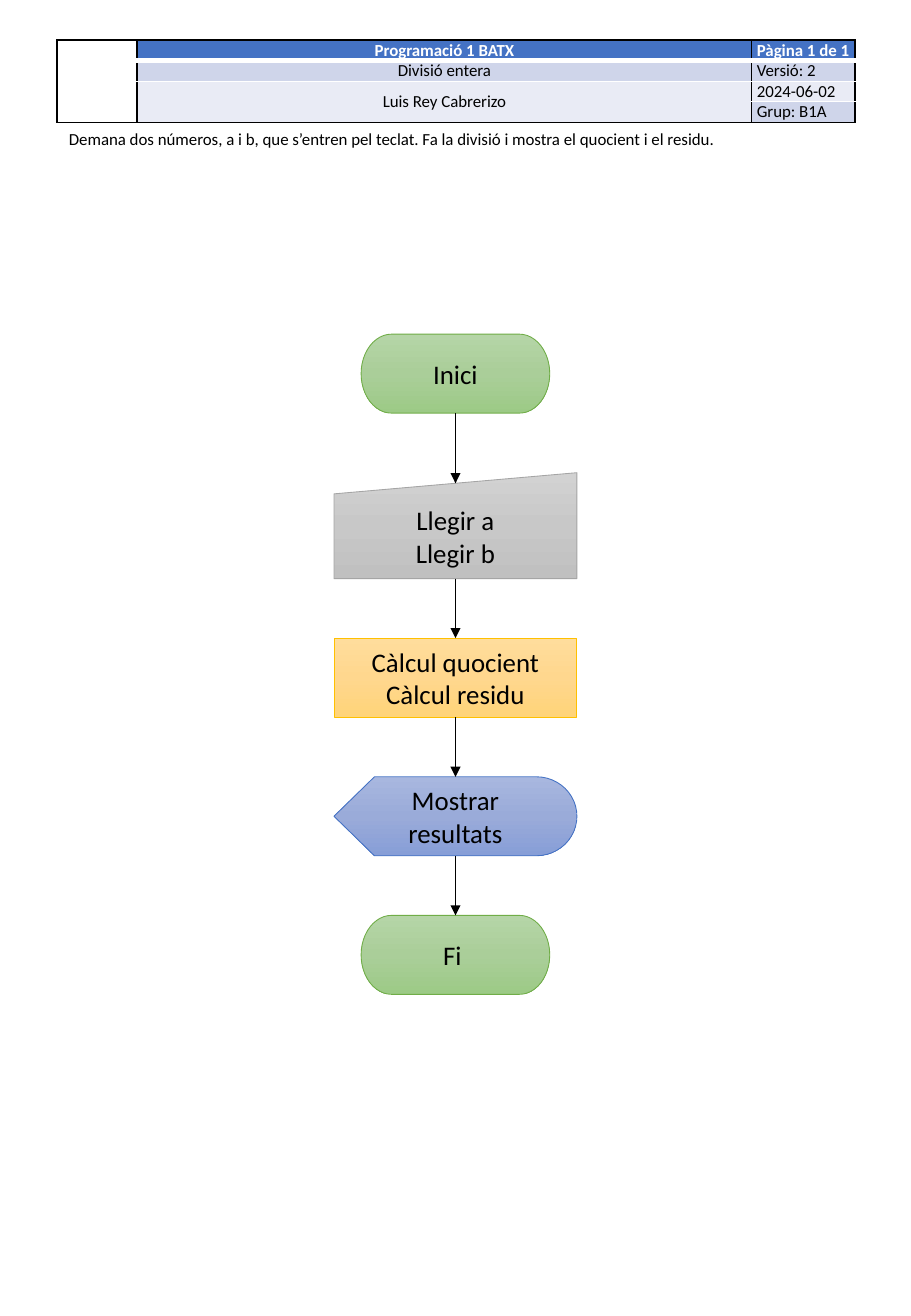
from copy import deepcopy

from lxml import etree
from pptx import Presentation
from pptx.dml.color import RGBColor
from pptx.enum import shapes, text
from pptx.oxml import ns
from pptx.util import Pt

BLACK = RGBColor(0x00, 0x00, 0x00)
WHITE = RGBColor(0xFF, 0xFF, 0xFF)
HEADER = RGBColor(0x44, 0x72, 0xC4)
BAND_DARK = RGBColor(0xCF, 0xD5, 0xEA)
BAND_LIGHT = RGBColor(0xE9, 0xEB, 0xF5)
GREEN = (RGBColor(0x70, 0xAD, 0x47), RGBColor(0xB5, 0xD5, 0xA7),
         RGBColor(0xAA, 0xCE, 0x99), RGBColor(0x9C, 0xCA, 0x86))
GREY = (RGBColor(0xA5, 0xA5, 0xA5), RGBColor(0xD2, 0xD2, 0xD2),
        RGBColor(0xC8, 0xC8, 0xC8), RGBColor(0xC0, 0xC0, 0xC0))
GOLD = (RGBColor(0xFF, 0xC0, 0x00), RGBColor(0xFF, 0xDD, 0x9C),
        RGBColor(0xFF, 0xD7, 0x8E), RGBColor(0xFF, 0xD4, 0x79))
BLUE = (HEADER, RGBColor(0xA8, 0xB7, 0xDF),
        RGBColor(0x9A, 0xAB, 0xD9), RGBColor(0x87, 0x9E, 0xD7))

FONT = "Calibri"
SMALL, LARGE = 10, 15.9
PAGE_WIDTH, PAGE_HEIGHT = 540, 779.8
MARGIN, CONTENT_WIDTH = 33.8, 473
TABLE_TOP, ROW_HEIGHT = 23.8, 12.05
COLUMN_WIDTHS = (47.5, 364.3, 61.2)
FLOW_TOP, FLOW_GAP = 198, 35.3
SLANT = 0.1

HEADING = [
    ("", "Programació 1 BATX", "Pàgina 1 de 1"),
    ("", "Divisió entera", "Versió: 2"),
    ("", "Luis Rey Cabrerizo", "2024-06-02"),
    ("", "", "Grup: B1A"),
]
ROW_FILLS = (HEADER, BAND_DARK, BAND_LIGHT, BAND_DARK)
TASK = ("Demana dos números, a i b, que s’entren pel teclat. "
        "Fa la divisió i mostra el quocient i el residu.")

KINDS = shapes.MSO_SHAPE
STEPS = [
    (KINDS.FLOWCHART_TERMINATOR, 111.8, 46.8, GREEN, ["Inici"]),
    (KINDS.FLOWCHART_MANUAL_INPUT, 144, 62.8, GREY, ["Llegir a", "Llegir b"]),
    (KINDS.FLOWCHART_PROCESS, 144, 46.8, GOLD, ["Càlcul quocient", "Càlcul residu"]),
    (KINDS.FLOWCHART_DISPLAY, 144, 46.8, BLUE, ["Mostrar resultats"]),
    (KINDS.FLOWCHART_TERMINATOR, 111.8, 46.8, GREEN, ["Fi "]),
]


def write(frame, lines, size, align, color=BLACK, bold=False):
    for index, line in enumerate(lines):
        para = frame.add_paragraph() if index else frame.paragraphs[0]
        para.alignment = align
        span = para.add_run()
        span.text = line
        span.font.name = FONT
        span.font.size = Pt(size)
        span.font.bold = bold
        span.font.color.rgb = color


def add_border(cell, side, color, width):
    properties = cell._tc.get_or_add_tcPr()
    line = etree.SubElement(properties, ns.qn("a:ln" + side), w=str(Pt(width)))
    solid = etree.SubElement(line, ns.qn("a:solidFill"))
    etree.SubElement(solid, ns.qn("a:srgbClr"), val=str(color))


def add_heading(page):
    last = len(HEADING) - 1
    frame = page.shapes.add_table(
        len(HEADING), len(COLUMN_WIDTHS), Pt(MARGIN), Pt(TABLE_TOP),
        Pt(CONTENT_WIDTH), Pt(ROW_HEIGHT * len(HEADING)))
    table = frame.table
    table.first_row = table.horz_banding = False
    for column, width in zip(table.columns, COLUMN_WIDTHS):
        column.width = Pt(width)
    for row in table.rows:
        row.height = Pt(ROW_HEIGHT)
    table.cell(0, 0).merge(table.cell(last, 0))
    table.cell(2, 1).merge(table.cell(last, 1))

    for r, row in enumerate(HEADING):
        for c, label in enumerate(row):
            cell = table.cell(r, c)
            cell.margin_left = cell.margin_right = Pt(3.1)
            cell.margin_top = cell.margin_bottom = Pt(0)
            if c == 1 and r:
                cell.vertical_anchor = text.MSO_ANCHOR.MIDDLE
            bottom_row = r + (cell.span_height if cell.is_merge_origin else 1) - 1
            bottom = BLACK if bottom_row == last else WHITE
            add_border(cell, "L", BLACK, 1)
            add_border(cell, "R", BLACK, 1)
            add_border(cell, "T", WHITE if r else BLACK, 1)
            add_border(cell, "B", bottom, 3 if r == 0 and c else 1)
            if c:
                cell.fill.solid()
                cell.fill.fore_color.rgb = ROW_FILLS[r]
            else:
                cell.fill.background()
            if label:
                align = text.PP_ALIGN.CENTER if c == 1 else text.PP_ALIGN.LEFT
                write(cell.text_frame, [label], SMALL, align,
                      BLACK if r else WHITE, r == 0)
            else:
                para = cell.text_frame.paragraphs[0]
                etree.SubElement(para._p, ns.qn("a:endParaRPr"), sz=str(SMALL * 100))


def add_step(page, kind, top, width, height, colors, lines):
    box = page.shapes.add_shape(
        kind, Pt((PAGE_WIDTH - width) / 2), Pt(top), Pt(width), Pt(height))
    box.shadow.inherit = False
    box.line.color.rgb = colors[0]
    box.line.width = Pt(0.5)
    box.fill.gradient()
    first_stop = box._element.spPr.find(".//" + ns.qn("a:gs"))
    first_stop.addnext(deepcopy(first_stop))
    box.fill.gradient_angle = 270
    for stop, position, color in zip(box.fill.gradient_stops, (0, 0.5, 1), colors[1:]):
        stop.position = position
        stop.color.rgb = color
    frame = box.text_frame
    frame.word_wrap = True
    frame.vertical_anchor = text.MSO_ANCHOR.MIDDLE
    frame.margin_left = frame.margin_right = Pt(0)
    frame.margin_top = frame.margin_bottom = Pt(0)
    write(frame, lines, LARGE, text.PP_ALIGN.CENTER)
    return box


def add_arrow(page, upper, lower):
    arrow = page.shapes.add_connector(shapes.MSO_CONNECTOR.STRAIGHT, 0, 0, 0, 0)
    arrow.begin_connect(upper, 2)
    arrow.end_connect(lower, 0)
    if lower.auto_shape_type == KINDS.FLOWCHART_MANUAL_INPUT:
        arrow.end_y = lower.top + int(lower.height * SLANT)
    arrow.line.color.rgb = BLACK
    arrow.line.width = Pt(1)
    etree.SubElement(arrow.line._get_or_add_ln(), ns.qn("a:tailEnd"), type="triangle")
    etree.SubElement(arrow._element.spPr, ns.qn("a:effectLst"))


def add_flow(page):
    top, previous = FLOW_TOP, None
    for kind, width, height, colors, lines in STEPS:
        box = add_step(page, kind, top, width, height, colors, lines)
        if previous is not None:
            add_arrow(page, previous, box)
        previous = box
        top += height + FLOW_GAP


def add_task(page):
    box = page.shapes.add_textbox(Pt(MARGIN), Pt(72.7), Pt(CONTENT_WIDTH), Pt(19.4))
    box.text_frame.word_wrap = True
    box.text_frame.auto_size = text.MSO_AUTO_SIZE.SHAPE_TO_FIT_TEXT
    write(box.text_frame, [TASK], SMALL, text.PP_ALIGN.LEFT)


def main():
    deck = Presentation()
    deck.slide_width, deck.slide_height = Pt(PAGE_WIDTH), Pt(PAGE_HEIGHT)
    page = deck.slides.add_slide(deck.slide_layouts[6])
    add_heading(page)
    add_flow(page)
    add_task(page)
    deck.save("out.pptx")


if __name__ == "__main__":
    main()
